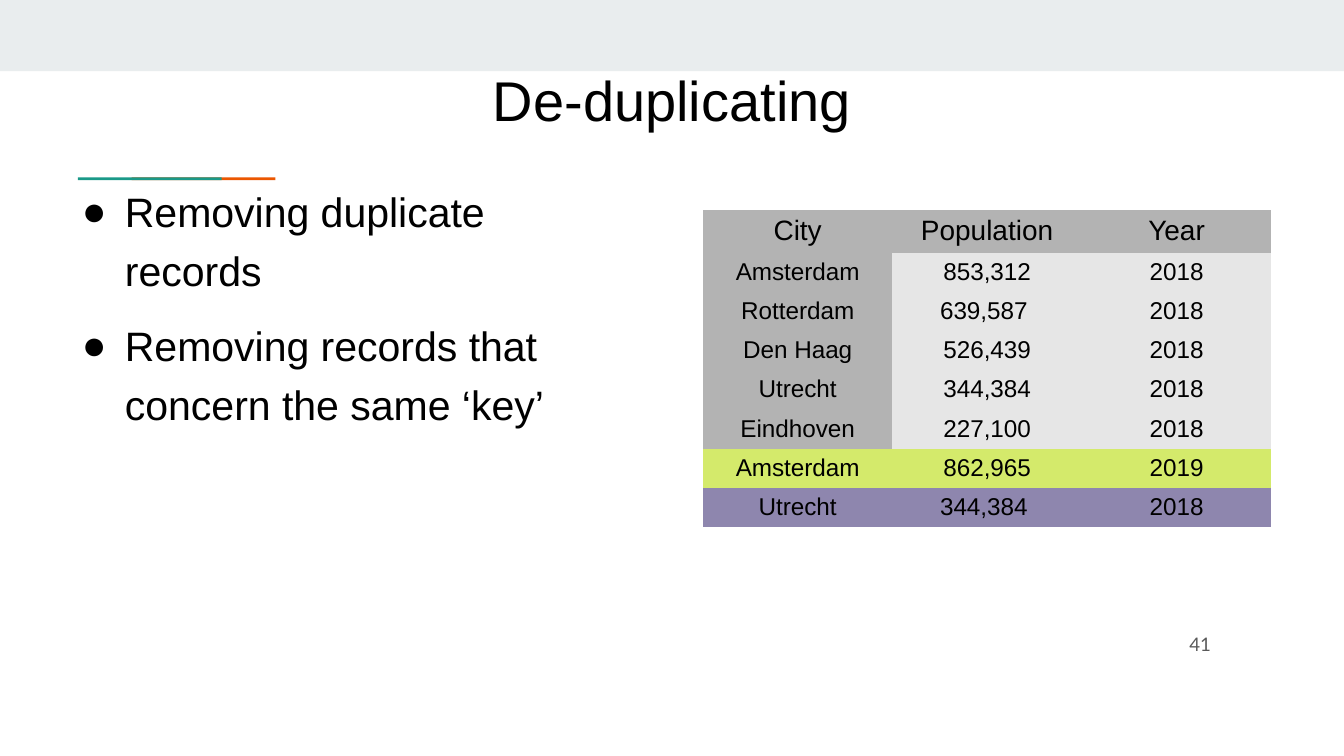
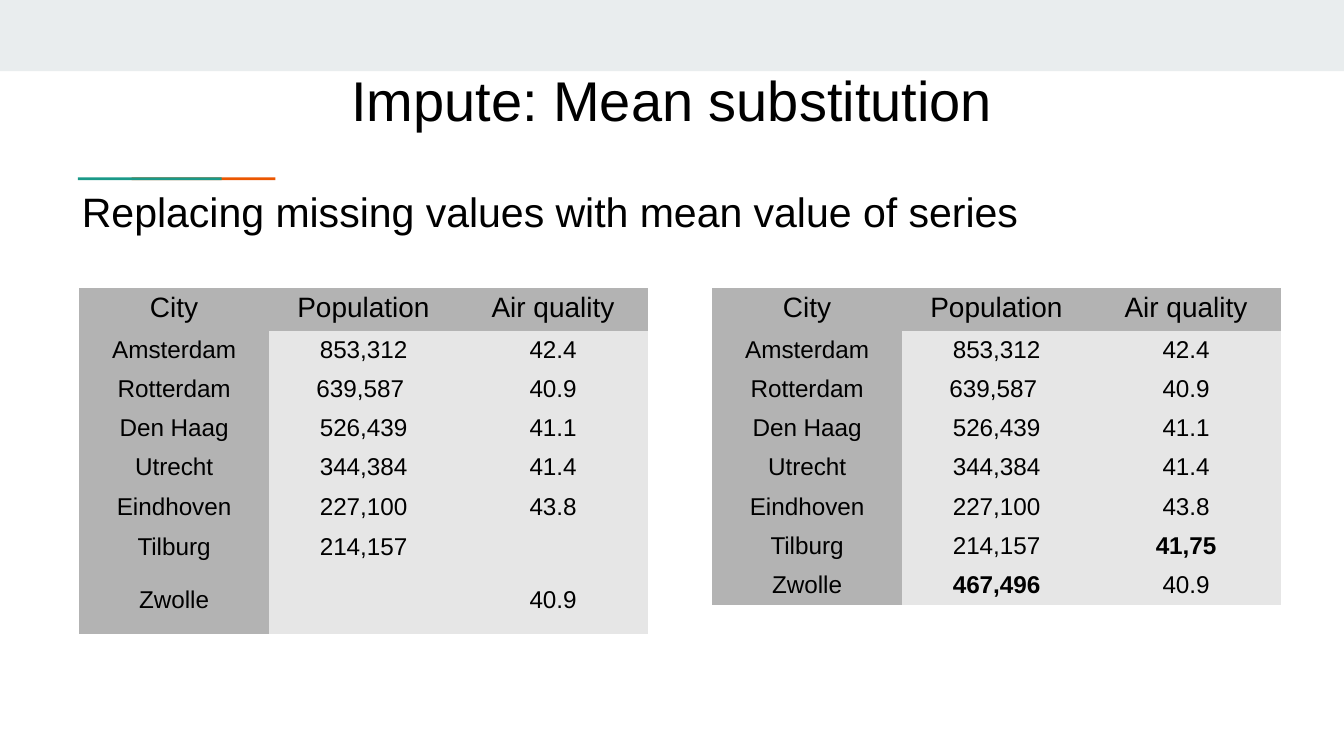
import pptx
import pptx.dml.color
import pptx.enum.shapes
import pptx.enum.text
import pptx.oxml.ns
import pptx.util
from lxml import etree

Inches = pptx.util.Inches
Pt = pptx.util.Pt
ALIGN = pptx.enum.text.PP_ALIGN
MIDDLE = pptx.enum.text.MSO_ANCHOR.MIDDLE
qn = pptx.oxml.ns.qn

# Content
DUPLICATE_TITLE = "De-duplicating"
DUPLICATE_POINTS = ["Removing duplicate records",
                    "Removing records that concern the same ‘key’"]
IMPUTE_TITLE = "Impute: Mean substitution"
IMPUTE_INTRO = ["Replacing missing values with mean value of series"]

CITIES = [("Amsterdam", "853,312"), ("Rotterdam", "639,587 "),
          ("Den Haag", "526,439"), ("Utrecht", "344,384"),
          ("Eindhoven", "227,100")]
AIR_QUALITY = ["42.4", "40.9", "41.1", "41.4", "43.8"]

YEAR_ROWS = [("City", "Population", "Year"),
             *[(*city, "2018") for city in CITIES],
             ("Amsterdam", "862,965", "2019"),
             ("Utrecht", "344,384 ", "2018")]
KNOWN_ROWS = [("City", "Population", "Air quality"),
              *[(*city, air) for city, air in zip(CITIES, AIR_QUALITY)]]
MISSING_ROWS = KNOWN_ROWS + [("Tilburg", "214,157", ""), ("Zwolle", "", "40.9")]
FILLED_ROWS = KNOWN_ROWS + [("Tilburg", "214,157", "41,75"),
                            ("Zwolle", "467,496", "40.9")]

# Shared style
FONT, NUMBER_FONT = "Arial", "Lato"
BLACK, GREY_TEXT = "000000", "595959"
BAND, TEAL, ORANGE = "E9EDEE", "1A9988", "EB5600"
HEAD_FILL, BODY_FILL = "B3B3B3", "E6E6E6"
LIME, PURPLE = "D4EA6B", "8E86AE"
NO_TABLE_STYLE = "{2D5ABB26-0587-4C30-8999-92F81FD0307C}"
COLUMN_WIDTH, HEAD_HEIGHT, ROW_HEIGHT = 1.41, 0.31, 0.29


def color(hex_value):
    return pptx.dml.color.RGBColor.from_string(hex_value)


def style_runs(para, size, font=FONT, hex_value=BLACK, bold=False):
    for span in para.runs:
        span.font.size = Pt(size)
        span.font.name = font
        span.font.bold = bold
        span.font.color.rgb = color(hex_value)


def add_bar(page, left, top, width, height, fill):
    bar = page.shapes.add_shape(pptx.enum.shapes.MSO_SHAPE.RECTANGLE, Inches(left),
                                Inches(top), Inches(width), Inches(height))
    bar.shadow.inherit = False
    bar.fill.solid()
    bar.fill.fore_color.rgb = color(fill)
    bar.line.fill.background()


def add_box(page, left, top, width, height):
    box = page.shapes.add_textbox(Inches(left), Inches(top),
                                  Inches(width), Inches(height))
    frame = box.text_frame
    frame.word_wrap = True
    frame.margin_left = frame.margin_right = 0
    frame.margin_top = frame.margin_bottom = 0
    return frame


def add_page(deck, title):
    page = deck.slides.add_slide(deck.slide_layouts[6])
    add_bar(page, 0, 0, 10, 0.53, BAND)
    # The teal bar overlaps the start of the orange one
    add_bar(page, 0.98, 1.32, 1.07, 0.02, ORANGE)
    add_bar(page, 0.58, 1.32, 1.07, 0.02, TEAL)
    frame = add_box(page, 0.5, 0.22, 9, 0.94)
    frame.vertical_anchor = MIDDLE
    frame.text = title
    para = frame.paragraphs[0]
    para.alignment = ALIGN.CENTER
    para.line_spacing = 1.19
    style_runs(para, 30)
    return page


def add_body(page, lines, width, height, bullets=False):
    frame = add_box(page, 0.5, 1.32, width, height)
    frame.text = "\n".join(lines)
    for index, para in enumerate(frame.paragraphs):
        para.line_spacing = 1.19
        if index:
            para.space_before = Pt(9)
        properties = para._p.get_or_add_pPr()
        properties.set("marL", str(Inches(0.43)))
        properties.set("indent", str(Inches(-0.32)))
        if bullets:
            bullet_color = etree.SubElement(properties, qn("a:buClr"))
            etree.SubElement(bullet_color, qn("a:srgbClr"), val=BLACK)
            etree.SubElement(properties, qn("a:buFont"), typeface=FONT)
            etree.SubElement(properties, qn("a:buChar"), char="●")
        else:
            etree.SubElement(properties, qn("a:buNone"))
        style_runs(para, 22)


def add_city_table(page, left, top, rows, row_fills={}, bold_values=(), last_height=ROW_HEIGHT):
    heights = [HEAD_HEIGHT] + [ROW_HEIGHT] * (len(rows) - 2) + [last_height]
    columns = len(rows[0])
    table = page.shapes.add_table(len(rows), columns, Inches(left), Inches(top),
                                  Inches(COLUMN_WIDTH * columns),
                                  Inches(sum(heights))).table
    table.first_row = table.horz_banding = False
    table._tbl.tblPr.find(qn("a:tableStyleId")).text = NO_TABLE_STYLE
    for column in table.columns:
        column.width = Inches(COLUMN_WIDTH)
    for r, values in enumerate(rows):
        table.rows[r].height = Inches(heights[r])
        for c, value in enumerate(values):
            cell = table.cell(r, c)
            default_fill = HEAD_FILL if r == 0 or c == 0 else BODY_FILL
            cell.fill.solid()
            cell.fill.fore_color.rgb = color(row_fills.get(r, default_fill))
            cell.margin_left = cell.margin_right = Inches(0.09)
            cell.margin_top = cell.margin_bottom = Pt(3.25)
            cell.vertical_anchor = MIDDLE
            cell.text_frame.text = value
            para = cell.text_frame.paragraphs[0]
            para.alignment = ALIGN.CENTER
            para.line_spacing = 0.93
            style_runs(para, 13 if r else 15, bold=value in bold_values)
            if not value:
                # Keeps an empty cell from stretching its row
                etree.SubElement(para._p, qn("a:endParaRPr"), sz="1300")


def add_page_number(page, number):
    frame = add_box(page, 8.47, 4.71, 0.54, 0.39)
    frame.text = number
    frame.paragraphs[0].alignment = ALIGN.RIGHT
    style_runs(frame.paragraphs[0], 10, NUMBER_FONT, GREY_TEXT)


def main():
    deck = pptx.Presentation()
    # Widescreen, 16 to 9
    deck.slide_width = Inches(10)
    deck.slide_height = Inches(10 * 9 / 16)

    # Removing duplicates
    page = add_page(deck, DUPLICATE_TITLE)
    add_page_number(page, "41")
    add_body(page, DUPLICATE_POINTS, 4.04, 3.26, bullets=True)
    add_city_table(page, 5.23, 1.56, YEAR_ROWS, row_fills={6: LIME, 7: PURPLE})

    # Filling in missing values
    page = add_page(deck, IMPUTE_TITLE)
    add_body(page, IMPUTE_INTRO, 9, 0.68)
    add_city_table(page, 0.59, 2.14, MISSING_ROWS, last_height=0.49)
    add_city_table(page, 5.3, 2.14, FILLED_ROWS, bold_values=("41,75", "467,496"))

    deck.save("out.pptx")


if __name__ == "__main__":
    main()
